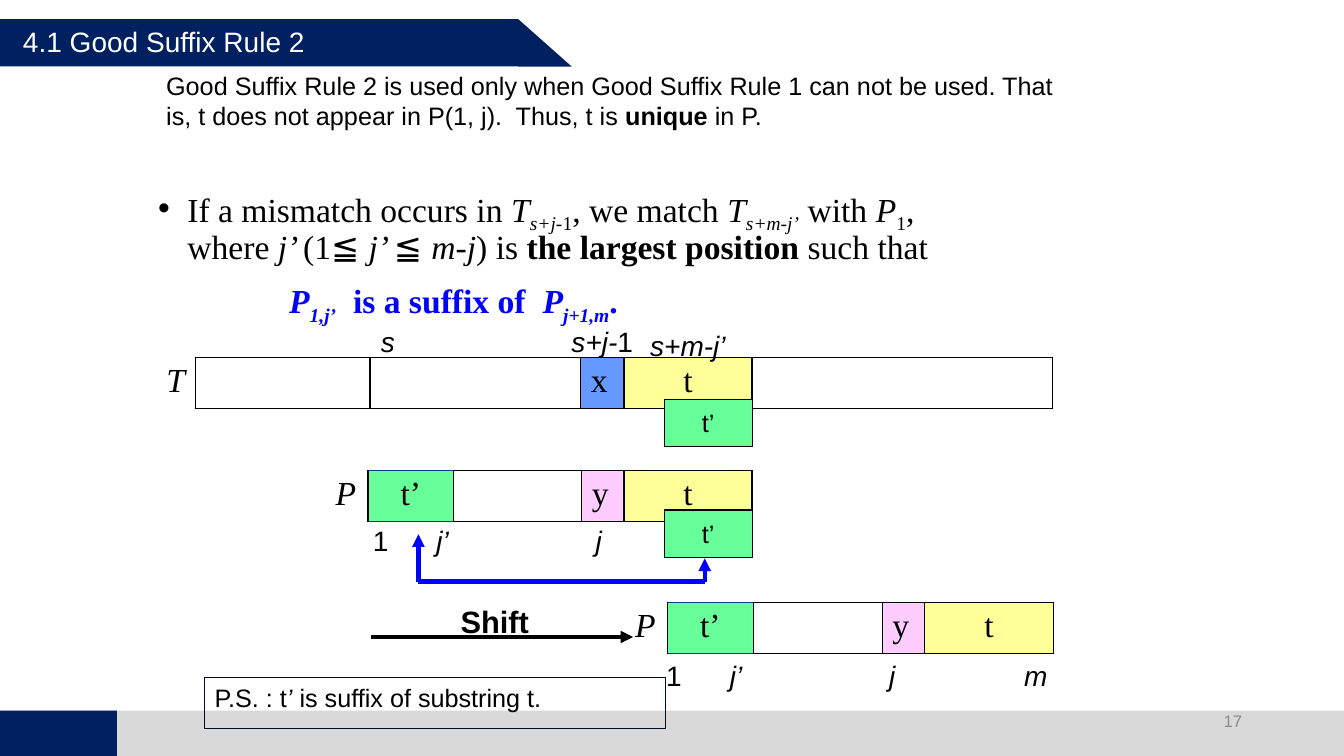
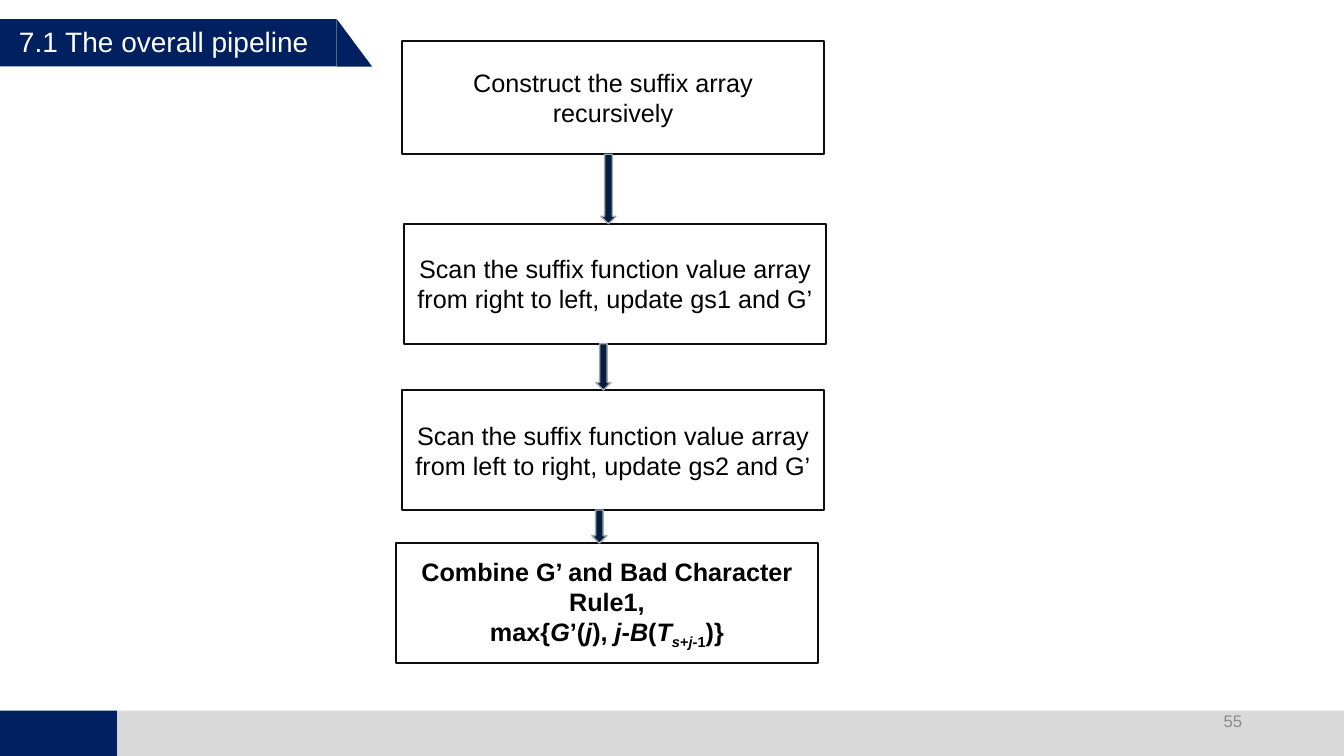
from lxml.etree import SubElement
from pptx import Presentation
from pptx.dml.color import RGBColor
from pptx.enum.shapes import MSO_CONNECTOR as Connector, MSO_SHAPE as Shape
from pptx.enum.text import MSO_ANCHOR as Anchor, PP_ALIGN as Align
from pptx.oxml.ns import qn
from pptx.util import Inches, Pt

# Shared colours and fonts
NAVY, GREY, NUMBER_GREY = "002060", "D9D9D9", "8C8C8C"
BLACK, WHITE, BLUE = "000000", "FFFFFF", "0000FF"
GREEN, YELLOW, PINK, SKY = "66FF99", "FFFF99", "FFCCFF", "6699FF"
SANS, SERIF = "Arial", "Times New Roman"
SLIDE_WIDTH, SLIDE_HEIGHT = 13.33, 7.5


def color(hex_value):
    return RGBColor.from_string(hex_value)


# Text: spans are (text, flags); b bold, i italic, _ subscript, a sans font
def write_spans(para, spans, size, font=SANS, ink=BLACK, align=Align.LEFT):
    if isinstance(spans, str):
        spans = [(spans, "")]
    para.alignment = align
    for text, flags in spans:
        span = para.add_run()
        span.text = text
        span.font.size = Pt(size)
        span.font.name = SANS if "a" in flags else font
        span.font.color.rgb = color(ink)
        span.font.bold = "b" in flags
        span.font.italic = "i" in flags
        if "_" in flags:
            span.font._element.set("baseline", "-25000")


def fill_frame(frame, paragraphs, size, anchor=Anchor.TOP, **style):
    frame.word_wrap = True
    frame.vertical_anchor = anchor
    for index, spans in enumerate(paragraphs):
        para = frame.add_paragraph() if index else frame.paragraphs[0]
        write_spans(para, spans, size, **style)


def add_text(page, left, top, width, height, spans, size=20, **style):
    box = page.shapes.add_textbox(*map(Inches, (left, top, width, height)))
    fill_frame(box.text_frame, [spans], size, **style)
    return box


# Shapes and lines
def add_block(page, left, top, width, height, fill=None, line=None,
              weight=0.75, kind=Shape.RECTANGLE):
    block = page.shapes.add_shape(kind, *map(Inches, (left, top, width, height)))
    block.shadow.inherit = False
    if fill:
        block.fill.solid()
        block.fill.fore_color.rgb = color(fill)
    else:
        block.fill.background()
    if line:
        block.line.color.rgb = color(line)
        block.line.width = Pt(weight)
    else:
        block.line.fill.background()
    return block


def add_line(page, start, end, ink, arrow=True):
    line = page.shapes.add_connector(
        Connector.STRAIGHT, *map(Inches, (*start, *end)))
    line.line.color.rgb = color(ink)
    line.line.width = Pt(3)
    if arrow:
        SubElement(line.line._get_or_add_ln(), qn("a:tailEnd"), type="triangle")
    SubElement(line._element.spPr, qn("a:effectLst"))


# String rows: a bare label cell, then framed cells of (text, fill, align, edge)
def set_borders(cell, inks):
    properties = cell._tc.get_or_add_tcPr()
    for index, (side, ink) in enumerate(zip("LRTB", inks)):
        border = SubElement(properties, qn("a:ln" + side), w=str(Pt(1)))
        if ink:
            solid = SubElement(border, qn("a:solidFill"))
            SubElement(solid, qn("a:srgbClr"), val=ink)
        else:
            SubElement(border, qn("a:noFill"))
        properties.insert(index, border)


def add_string_row(page, left, top, label, widths, cells):
    height = Inches(0.5)
    table = page.shapes.add_table(1, len(widths), Inches(left), Inches(top),
                                  Inches(sum(widths)), height).table
    table.first_row = table.horz_banding = False
    table.rows[0].height = height
    framed = [(label, None, Align.LEFT, None), *cells]
    for index, (text, fill, align, edge) in enumerate(framed):
        table.columns[index].width = Inches(widths[index])
        cell = table.cell(0, index)
        if fill:
            cell.fill.solid()
            cell.fill.fore_color.rgb = color(fill)
        else:
            cell.fill.background()
        set_borders(cell, (BLACK if index else None, BLACK, edge, edge))
        write_spans(cell.text_frame.paragraphs[0],
                    [(text, "" if index else "i")], 24, SERIF, align=align)


def add_pattern_row(page, left, top, wide):
    prefix = round(wide * 2 / 3, 2)
    add_string_row(page, left, top, "P", (0.42, prefix, wide, 0.42, wide), [
        ("t’", GREEN, Align.CENTER, "053D86"),
        ("", None, Align.LEFT, BLACK),
        ("y", PINK, Align.LEFT, BLACK),
        ("t", YELLOW, Align.CENTER, BLACK)])


# Footer bands, title tab and slide number
def add_page(deck, title, number, tab_width, slope, title_left):
    page = deck.slides.add_slide(deck.slide_layouts[6])
    add_block(page, 0, 7.05, SLIDE_WIDTH, 0.45, GREY)
    add_block(page, 0, 7.05, 1.16, 0.45, NAVY)
    add_block(page, 0, 0.19, tab_width, 0.47, NAVY)
    add_block(page, tab_width, 0.19, slope, 0.47, NAVY,
              kind=Shape.RIGHT_TRIANGLE)
    add_text(page, title_left, 0.19, tab_width, 0.44, title, ink=WHITE)
    add_text(page, 9.42, 6.95, 3, 0.4, number, 12, ink=NUMBER_GREY,
             align=Align.RIGHT, anchor=Anchor.MIDDLE)
    return page


def add_rule_text(page):
    add_text(page, 1.55, 0.65, 9.06, 0.7, [
        ("Good Suffix Rule 2 is used only when Good Suffix Rule 1 can not be "
         "used. That is, t does not appear in P(1, j).  Thus, t is ", ""),
        ("unique", "b"), (" in P.", "")], 18)
    frame = add_text(page, 1.47, 1.83, 8.55, 1.73, [
        ("If a mismatch occurs in ", ""), ("T", "i"), ("s+j-", "i_"),
        ("1", "_"), (", we match ", ""), ("T", "i"), ("s+m-j’", "i_"),
        (" with ", ""), ("P", "i"), ("1", "_"), (", where ", ""),
        ("j’ ", "i"), ("(1", ""), ("≦ ", "a"), ("j’ ", "i"), ("≦ ", "a"),
        ("m", "i"), ("-", ""), ("j", "i"), (") is ", ""),
        ("the largest position", "b"), (" such that", "")],
        24, font=SERIF).text_frame
    write_spans(frame.add_paragraph(), [
        ("P", "bi"), ("1,j’", "bi_"), ("  is a suffix of  ", "b"),
        ("P", "bi"), ("j+1,m", "bi_"), (".", "b")], 24, SERIF, BLUE)
    for para, margin, indent in zip(frame.paragraphs, (0.29, 1.3), (-0.29, 0)):
        para.line_spacing = 0.9
        para.space_before = Pt(10)
        properties = para._p.get_or_add_pPr()
        properties.set("marL", str(Inches(margin)))
        properties.set("indent", str(Inches(indent)))
        if indent:
            SubElement(properties, qn("a:buFont"), typeface=SANS)
            SubElement(properties, qn("a:buChar"), char="•")


def build_suffix_rule(deck):
    page = add_page(deck, "4.1 Good Suffix Rule 2", "17", 5.14, 0.53, 0.13)
    add_rule_text(page)

    # Text string and the two pattern positions
    add_string_row(page, 1.55, 3.55, "T", (0.39, 1.73, 2.09, 0.43, 1.27, 2.98), [
        ("", None, Align.LEFT, BLACK), ("", None, Align.LEFT, BLACK),
        ("x", SKY, Align.LEFT, BLACK), ("t", YELLOW, Align.CENTER, BLACK),
        ("", None, Align.LEFT, BLACK)])
    add_pattern_row(page, 3.23, 4.67, 1.27)
    add_pattern_row(page, 6.2, 5.98, 1.28)

    # Index labels
    for left, top, width, spans in (
            (3.68, 3.17, 0.4, [("s", "i")]),
            (5.57, 3.17, 0.9, [("s+j-", "i"), ("1", "")]),
            (6.35, 3.21, 1.1, [("s+m-j’", "i")]),
            (10.06, 6.48, 0.47, [("m", "i")])):
        add_text(page, left, top, width, 0.43, spans)
    for start, top in ((3.6, 5.14), (6.51, 6.48)):
        for offset, text, flags in ((0, "1", ""), (0.63, "j’", "i"),
                                    (2.21, "j", "i")):
            add_text(page, start + offset, top, 0.47, 0.43, [(text, flags)])

    # Matching suffixes and the note
    for top in (3.96, 5.06):
        block = add_block(page, 6.59, top, 0.87, 0.47, GREEN, BLACK)
        fill_frame(block.text_frame, ["t’"], 18, Anchor.MIDDLE,
                   align=Align.CENTER)
    note = add_block(page, 2.03, 6.72, 4.57, 0.51, line="000C29")
    fill_frame(note.text_frame, [[("P.S. : t", ""), ("’", "i"),
                                  (" is suffix of substring t.", "")]], 18)

    # Shift arrow and the bracket joining equal parts
    add_text(page, 4.47, 5.93, 0.94, 0.47, [("Shift", "b")], 22)
    add_line(page, (3.68, 6.32), (6.28, 6.32), BLACK)
    left, right, base = 4.15, 6.99, 5.77
    add_line(page, (left, base), (left, 5.3), BLUE)
    add_line(page, (right, base), (right, 5.54), BLUE)
    add_line(page, (left, base), (right, base), BLUE, arrow=False)


def build_pipeline(deck):
    page = add_page(deck, "7.1 The overall pipeline", "55", 3.34, 0.35, 0.09)
    formula = [("max{", "b"), ("G", "bi"), ("’(", "b"), ("j", "bi"),
               ("), ", "b"), ("j", "bi"), ("-", "b"), ("B", "bi"), ("(", "b"),
               ("T", "bi"), ("s", "bi_"), ("+", "b_"), ("j", "bi_"),
               ("-1", "b_"), (")}", "b")]
    steps = (
        (3.99, 0.41, 1.12, ["Construct the suffix array recursively"]),
        (4.01, 2.22, 1.19, ["Scan the suffix function value array from right "
                            "to left, update gs1 and G’"]),
        (3.99, 3.87, 1.19, ["Scan the suffix function value array from left "
                            "to right, update gs2 and G’"]),
        (3.93, 5.39, 1.19, [[("Combine G’ and Bad Character Rule1,", "b")],
                            formula]))
    for left, top, height, paragraphs in steps:
        step = add_block(page, left, top, 4.18, height, WHITE, "0D0D0D", 1.5)
        fill_frame(step.text_frame, paragraphs, 18, Anchor.MIDDLE,
                   align=Align.CENTER)

    # Arrows span the gaps between steps
    for arrow_left, upper, lower in zip((5.96, 5.91, 5.87), steps, steps[1:]):
        bottom = upper[1] + upper[2]
        add_block(page, arrow_left, bottom, 0.15, lower[1] - bottom,
                  "031E43", "A6A6A6", 1, Shape.DOWN_ARROW)


def main():
    deck = Presentation()
    deck.slide_width = Inches(SLIDE_WIDTH)
    deck.slide_height = Inches(SLIDE_HEIGHT)
    build_suffix_rule(deck)
    build_pipeline(deck)
    deck.save("out.pptx")


if __name__ == "__main__":
    main()
